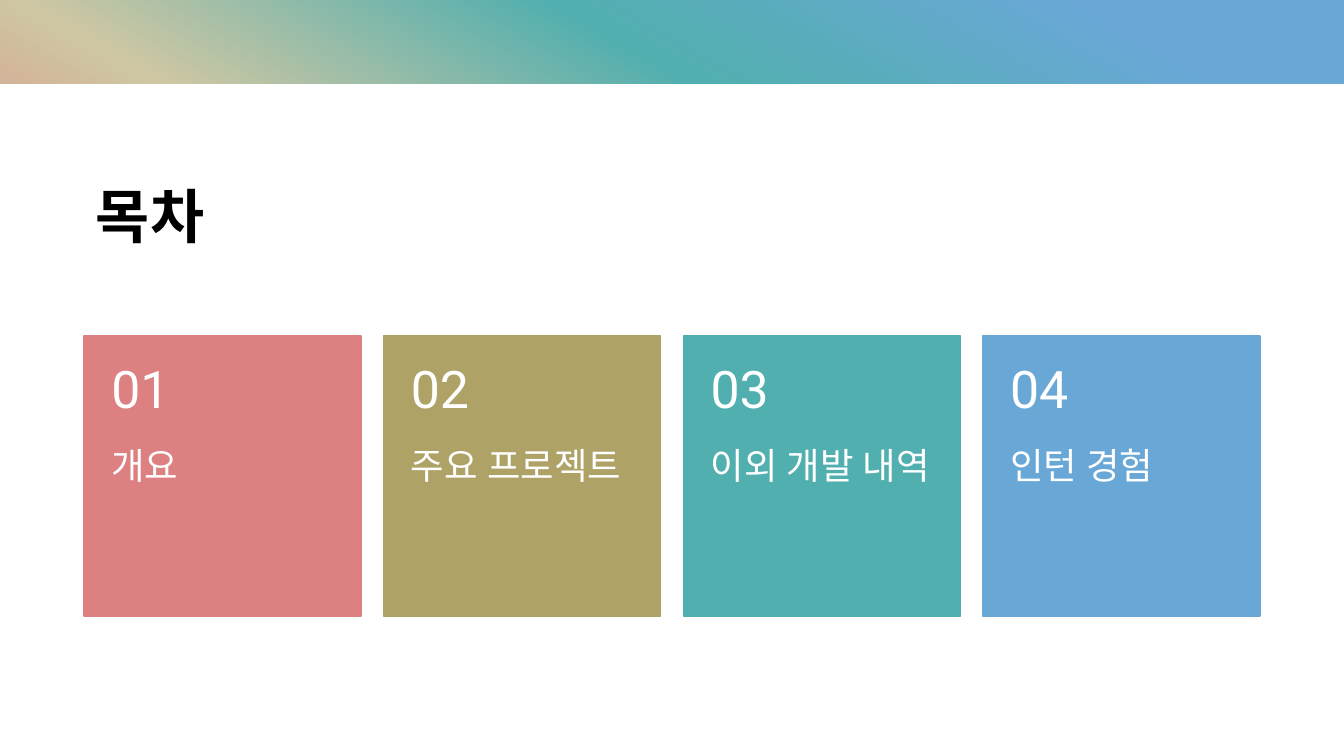
import pptx
import pptx.util
import pptx.dml.color
import pptx.enum.shapes
import pptx.enum.text
import pptx.oxml
import pptx.oxml.ns
from lxml import etree

Pt = pptx.util.Pt
ANCHOR = pptx.enum.text.MSO_ANCHOR
WIDE, HIGH = 960, 540
EDGE, BAND = 60, 60
TILE, STEP, TOP = 198, 214, 240
HEAD, BODY = 80, 120
STOPS = [(10, "69A8D6"), (30, "52AFAF"), (50, "CFC7A3"), (70, "DC8081"), (90, "D59164")]
TILES = [
    ("01", "개요", "DC8081"),
    ("02", "주요 프로젝트", "AFA266"),
    ("03", "이외 개발 내역", "52AFAF"),
    ("04", "인턴 경험", "69A8D6"),
]


def color(code):
    return pptx.dml.color.RGBColor.from_string(code)


def apply(item, style):
    for name, value in style.items():
        setattr(item, name, value)


class Deck:
    face = "Roboto"

    def __init__(self):
        self.file = pptx.Presentation()
        self.file.slide_width, self.file.slide_height = Pt(WIDE), Pt(HIGH)
        self.slide = self.file.slides.add_slide(self.file.slide_layouts[5])

    def rect(self, left, top, width, height, fill, line=None):
        kind = pptx.enum.shapes.MSO_SHAPE.RECTANGLE
        box = self.slide.shapes.add_shape(kind, Pt(left), Pt(top), Pt(width), Pt(height))
        box.shadow.inherit = False
        box.fill.solid()
        box.fill.fore_color.rgb = color(fill)
        if line:
            box.line.color.rgb = color(line)
            box.line.width = Pt(1)
        else:
            box.line.fill.background()
        return box

    def blend(self, box, stops, angle):
        """Fill a box with a linear gradient; the angle runs clockwise."""
        marks = "".join(
            f'<a:gs pos="{pos * 1000}"><a:srgbClr val="{code}"/></a:gs>' for pos, code in stops
        )
        grad = pptx.oxml.parse_xml(
            f'<a:gradFill {pptx.oxml.ns.nsdecls("a")}><a:gsLst>{marks}</a:gsLst>'
            f'<a:lin ang="{angle * 60000}" scaled="0"/></a:gradFill>'
        )
        props = box.element.spPr
        solid = props.find(pptx.oxml.ns.qn("a:solidFill"))
        props.replace(solid, grad)

    def letter(self, box, text, size, code, inset, anchor, bold=False, gap=0, lead=1.0):
        """Put one formatted line of text in a box."""
        frame = box.text_frame
        names = ("margin_left", "margin_top", "margin_right", "margin_bottom")
        apply(frame, dict(zip(names, map(Pt, inset))))
        apply(frame, {
            "word_wrap": True,
            "auto_size": pptx.enum.text.MSO_AUTO_SIZE.NONE,
            "vertical_anchor": anchor,
        })
        para = frame.paragraphs[0]
        apply(para, {"alignment": pptx.enum.text.PP_ALIGN.LEFT, "line_spacing": lead})
        run = para.add_run()
        run.text = text
        apply(run.font, {"name": self.face, "size": Pt(size), "bold": bold})
        run.font.color.rgb = color(code)
        props = run.font._element
        east = etree.SubElement(props, pptx.oxml.ns.qn("a:ea"))
        east.set("typeface", self.face)
        if gap:
            props.set("spc", str(round(gap * 100)))

    def text(self, left, top, width, height, *args, **style):
        box = self.slide.shapes.add_textbox(Pt(left), Pt(top), Pt(width), Pt(height))
        self.letter(box, *args, **style)

    def title(self, text, left, top, width, height):
        box = self.slide.shapes.title
        apply(box, {"left": Pt(left), "top": Pt(top), "width": Pt(width), "height": Pt(height)})
        self.letter(box, text, 42, "000000", (8.5, 8.5, 8.5, 7), ANCHOR.TOP, bold=True, gap=0.7)
        return box

    def tile(self, left, number, label, fill):
        self.rect(left, TOP, TILE, HEAD + BODY, fill, line=fill)
        self.text(left, TOP + HEAD, TILE, BODY, label, 26, "FFFFFF",
                  (19.5, 0, 19.5, 26), ANCHOR.TOP, lead=0.9)
        self.text(left, TOP, TILE, HEAD, number, 37, "FFFFFF",
                  (19.5, 13, 19.5, 13), ANCHOR.MIDDLE, lead=0.9)


def main():
    deck = Deck()
    title = deck.title("목차", EDGE, 119.5, WIDE - 2 * EDGE, 106)
    back = deck.rect(0, 0, WIDE, HIGH, "FFFFFF")
    deck.blend(back, STOPS, 120)
    page = deck.rect(0, BAND, WIDE, HIGH - BAND, "FFFFFF")
    for box in (back, page):
        title.element.addprevious(box.element)
    for place, (number, label, fill) in enumerate(TILES):
        deck.tile(EDGE + place * STEP, number, label, fill)
    deck.file.save("out.pptx")


if __name__ == "__main__":
    main()
